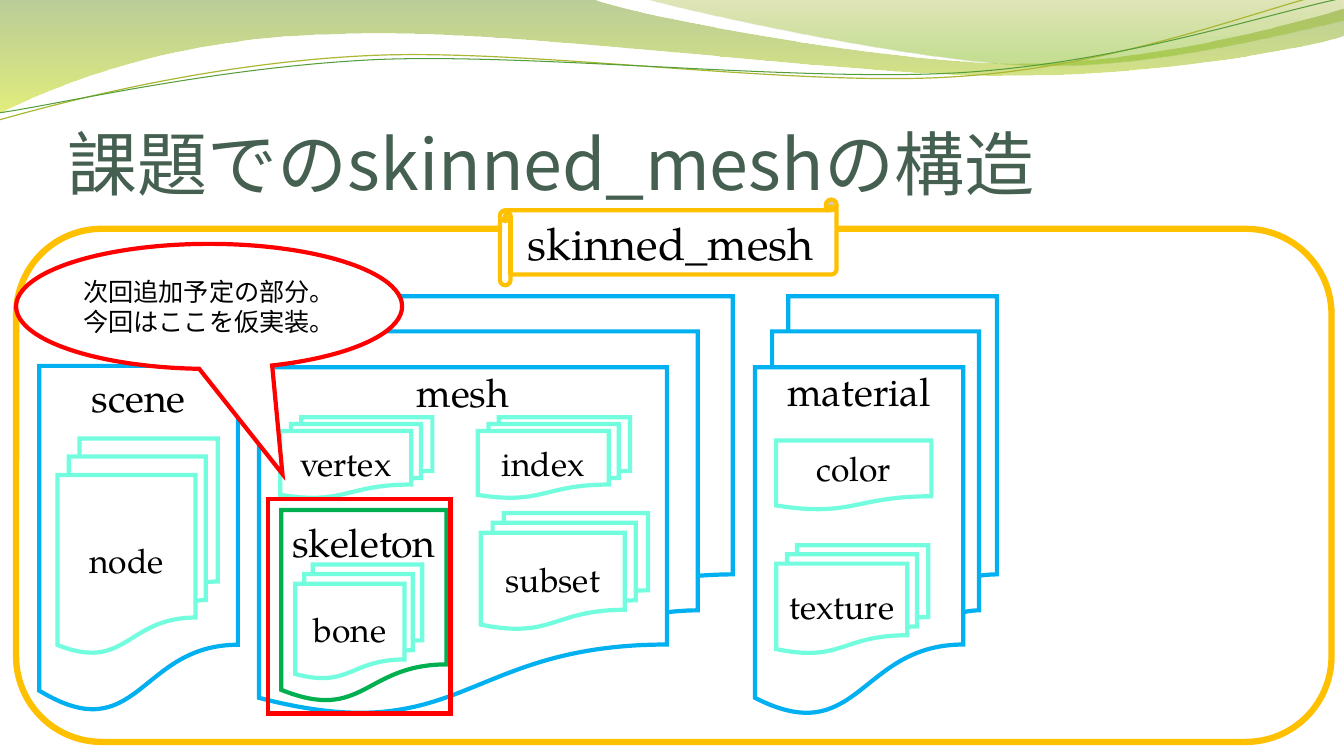
from lxml.etree import SubElement
from pptx import Presentation
from pptx.dml.color import RGBColor
from pptx.enum.shapes import MSO_SHAPE
from pptx.enum.text import MSO_ANCHOR, PP_ALIGN
from pptx.oxml.ns import qn
from pptx.util import Inches, Pt

# Grid: 40/3 columns by 7.5 rows
WIDE, HIGH = Inches(40 / 3), Inches(7.5)
COL, ROW = WIDE * 3 / 40, HIGH / 7.5

SANS, SERIF = "Noto Sans CJK JP", "TeX Gyre Pagella"
BLACK = RGBColor(0x00, 0x00, 0x00)
WHITE = RGBColor(0xFF, 0xFF, 0xFF)
SLATE = RGBColor(0x45, 0x5F, 0x51)
GOLD = RGBColor(0xFF, 0xC0, 0x00)
BLUE = RGBColor(0x00, 0xB0, 0xF0)
MINT = RGBColor(0x72, 0xFD, 0xDF)
GREEN = RGBColor(0x00, 0xB0, 0x50)
RED = RGBColor(0xFF, 0x00, 0x00)
OLIVE = RGBColor(0x69, 0x92, 0x1C)
LIME = RGBColor(0xCC, 0xE1, 0x0F)
MOSS = RGBColor(0x9B, 0xAA, 0x1A)
LEAF = RGBColor(0x81, 0xBA, 0x16)
REED = RGBColor(0xA9, 0xB7, 0x33)
FERN = RGBColor(0x54, 0x9E, 0x39)

DOC = MSO_SHAPE.FLOWCHART_DOCUMENT
STACK = MSO_SHAPE.FLOWCHART_MULTIDOCUMENT


def place(left, top, wide, high):
    return [round(n) for n in (left * COL, top * ROW, wide * COL, high * ROW)]


def write(shape, text, size=24, font=SERIF, color=BLACK, align=PP_ALIGN.CENTER,
          anchor=MSO_ANCHOR.MIDDLE, top=0.05, side=0.1, base=0.05, space=None):
    frame = shape.text_frame
    frame.word_wrap = True
    frame.vertical_anchor = anchor
    frame.margin_top, frame.margin_bottom = round(top * ROW), round(base * ROW)
    frame.margin_left = frame.margin_right = round(side * COL)
    for i, part in enumerate(text.split("\n")):
        para = frame.add_paragraph() if i else frame.paragraphs[0]
        para.alignment = align
        para.line_spacing = space
        run = para.add_run()
        run.text = part
        run.font.size, run.font.name = Pt(size), font
        run.font.color.rgb = color
        SubElement(run.font._element, qn("a:ea"), typeface=SANS)


def box(slide, kind, spot, line, width=3, fill=WHITE):
    shape = slide.shapes.add_shape(kind, *place(*spot))
    shape.shadow.inherit = False
    if fill is None:
        shape.fill.background()
    else:
        shape.fill.solid()
        shape.fill.fore_color.rgb = fill
    shape.line.color.rgb = line
    shape.line.width = Pt(width)
    # Sharp corners
    SubElement(shape.element.spPr.find(qn("a:ln")), qn("a:miter"), lim="800000")
    return shape


def trace(slide, start, parts, close):
    """Outline whose parts are lines (one point) or cubic curves (three)."""
    dots = [(round(x * COL), round(y * ROW))
            for x, y in [start] + [dot for part in parts for dot in part]]
    maker = slide.shapes.build_freeform(*dots[0], scale=1.0)
    maker.add_line_segments(dots[1:], close=close)
    shape = maker.convert_to_shape()
    shape.shadow.inherit = False
    # Join each three points into one curve
    steps = iter(list(shape.element.iter(qn("a:lnTo"))))
    for part in parts:
        first = next(steps)
        if len(part) == 3:
            first.tag = qn("a:cubicBezTo")
            for _ in range(2):
                step = next(steps)
                first.append(step[0])
                step.getparent().remove(step)
    return shape


def wave(slide, start, parts, stops):
    shape = trace(slide, start, parts, True)
    shape.fill.gradient()
    shape.fill.gradient_angle = 270
    for stop, (spot, color, _) in zip(shape.fill.gradient_stops, stops):
        stop.position = spot
        stop.color.rgb = color
    tints = shape.element.spPr.iter(qn("a:srgbClr"))
    for tint, (_, _, alpha) in zip(list(tints), stops):
        SubElement(tint, qn("a:alpha"), val=str(alpha * 1000))
    shape.line.fill.background()


def thread(slide, start, parts, color, width):
    shape = trace(slide, start, parts, False)
    shape.fill.background()
    shape.line.color.rgb = color
    shape.line.width = Pt(width)


def header(slide):
    wave(slide, (0, 0), [
        [(5.87, -0.01)],
        [(6.34, 0.17), (8.84, 0.63), (10.11, 0.63)],
        [(11.37, 0.63), (12.77, 0.26), (13.33, 0.09)],
        [(13.34, 0.36)],
        [(13.11, 0.44), (11.59, 0.76), (9.94, 0.75)],
        [(8.29, 0.75), (5.09, 0.28), (3.43, 0.34)],
        [(1.72, 0.36), (0.61, 0.83), (-0.02, 1.13)],
    ], [(0, OLIVE, 45), (1, LIME, 55)])
    wave(slide, (6.38, -0.01), [
        [(6.79, 0.11), (9.09, 0.62), (10.25, 0.65)],
        [(11.4, 0.69), (12.82, 0.32), (13.33, 0.21)],
        [(13.33, 0)],
    ], [(0, MOSS, 30), (0.8, LEAF, 45)])
    thread(slide, (-0.01, 1.19), [
        [(0.63, 1.01), (2.1, 0.62), (3.69, 0.55)],
        [(5.27, 0.48), (7.89, 0.87), (9.49, 0.76)],
        [(11.1, 0.66), (12.51, 0.08), (13.3, -0.1)],
    ], REED, 0.85)
    thread(slide, (-0.01, 1.12), [
        [(0.62, 1.03), (2.18, 0.66), (3.77, 0.59)],
        [(5.37, 0.53), (7.96, 0.82), (9.55, 0.72)],
        [(11.14, 0.62), (12.55, 0.14), (13.33, -0.02)],
    ], FERN, 0.75)


def main():
    deck = Presentation()
    deck.slide_width, deck.slide_height = WIDE, HIGH
    slide = deck.slides.add_slide(deck.slide_layouts[6])

    # Header waves and title
    header(slide)
    title = slide.shapes.add_textbox(*place(0.67, 0.77, 12, 1.25))
    write(title, "課題でのskinned_meshの構造", size=50, font=SANS, color=SLATE,
          align=PP_ALIGN.LEFT, anchor=MSO_ANCHOR.BOTTOM, side=0, base=0,
          space=0.8)

    # Outer frame with its label
    box(slide, MSO_SHAPE.ROUNDED_RECTANGLE, (0.16, 2.27, 13.05, 5.09),
        GOLD, 4.5, None)
    label = box(slide, MSO_SHAPE.HORIZONTAL_SCROLL, (4.96, 1.98, 3.34, 0.85),
                GOLD)
    write(label, "skinned_mesh", size=32)

    # Holders, headed at the top
    for name, kind, spot, line, top in (
            ("scene", DOC, (0.39, 3.63, 1.97, 3.45), BLUE, 0.07),
            ("mesh", STACK, (2.57, 2.94, 4.7, 4.14), BLUE, 0.01),
            ("material", STACK, (7.49, 2.94, 2.4, 4.14), BLUE, 0),
            ("skeleton", DOC, (2.79, 5.06, 1.64, 1.91), GREEN, 0.08)):
        write(box(slide, kind, spot, line), name, size=28,
              anchor=MSO_ANCHOR.TOP, top=top)

    # Parts inside the holders
    for name, kind, spot in (
            ("node", STACK, (0.57, 4.35, 1.59, 2.13)),
            ("vertex", STACK, (2.78, 4.14, 1.51, 0.8)),
            ("index", STACK, (4.74, 4.14, 1.51, 0.8)),
            ("subset", STACK, (4.77, 5.09, 1.66, 1.15)),
            ("bone", STACK, (2.93, 5.6, 1.26, 1.13)),
            ("texture", STACK, (7.7, 5.41, 1.51, 1.07)),
            ("color", DOC, (7.7, 4.37, 1.54, 0.69))):
        write(box(slide, kind, spot, MINT), name)

    # Marked area and its callout
    box(slide, MSO_SHAPE.RECTANGLE, (2.66, 4.95, 1.81, 2.13), RED, fill=None)
    note = box(slide, MSO_SHAPE.OVAL_CALLOUT, (0.16, 2.42, 3.83, 1.24), RED)
    note.adjustments[0], note.adjustments[1] = 0.19, 1.34
    write(note, "次回追加予定の部分。\n今回はここを仮実装。", size=18)

    deck.save("out.pptx")


if __name__ == "__main__":
    main()
